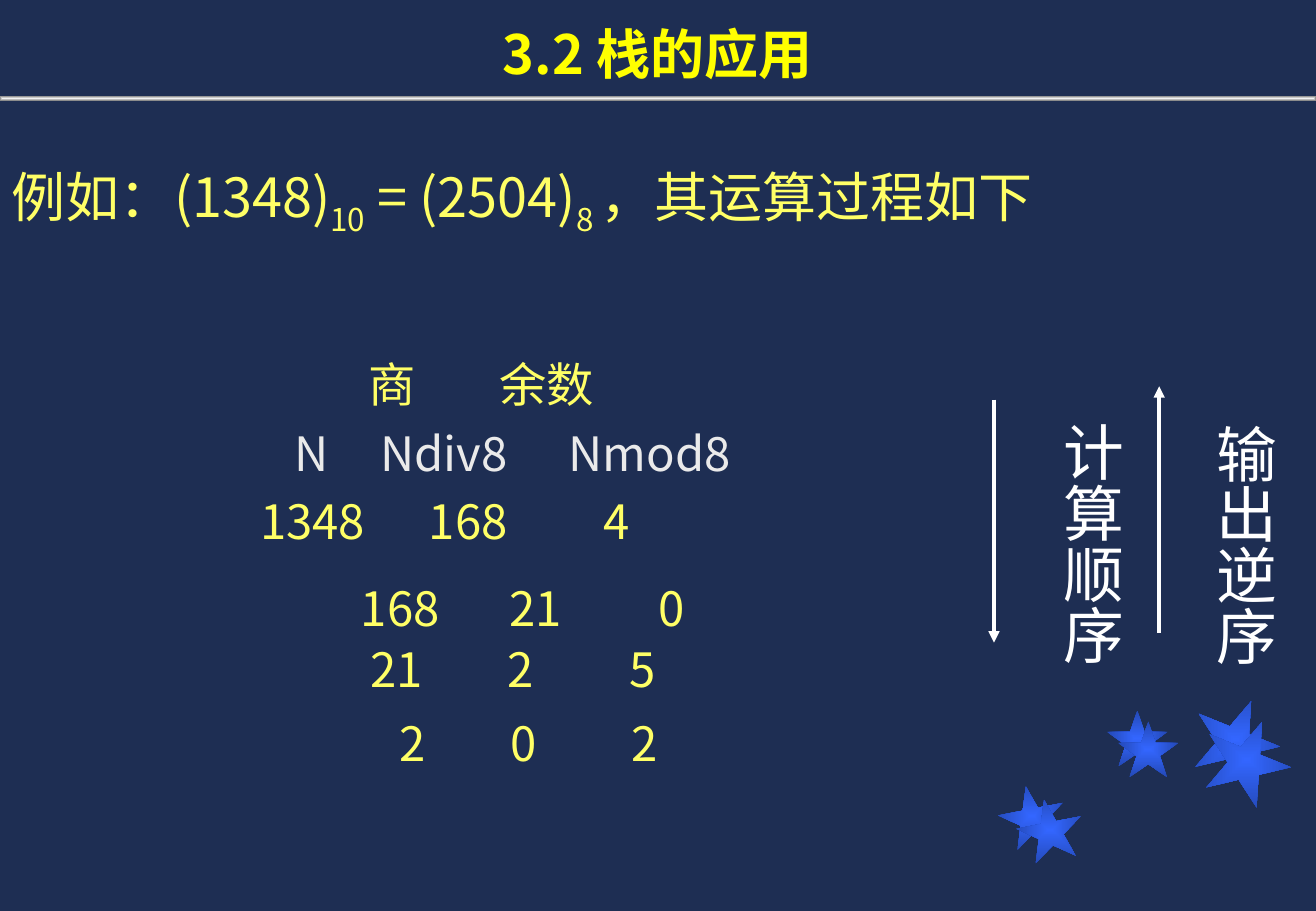
from dataclasses import dataclass

from pptx import Presentation
from pptx import util as u
from pptx.dml.color import RGBColor
from pptx.enum import shapes, text
from pptx.oxml import parse_xml
from pptx.oxml.ns import qn
from pptx.oxml.xmlchemy import OxmlElement

PX = 9144  # EMU in one px, 100 px to the inch
FONT = "Noto Sans CJK SC"
WHITE, YELLOW, GREY = "FFFFFF", "FFFF66", "EAEAEA"
CENTRE_PATH = (
    '<a:path xmlns:a="http://schemas.openxmlformats.org/drawingml/2006/main" path="shape">'
    '<a:fillToRect l="50000" t="50000" r="50000" b="50000"/></a:path>'
)


@dataclass(frozen=True)
class Box:
    left: int
    top: int
    width: int
    height: int

    def emu(self) -> list[u.Emu]:
        return [px(n) for n in (self.left, self.top, self.width, self.height)]


@dataclass(frozen=True)
class Star:
    box: Box
    rotation: int = 0


@dataclass(frozen=True)
class Row:
    """One line of the division: each cell starts at its own tab stop."""
    cells: tuple[str, ...]
    starts: tuple[int, ...]
    colour: str = YELLOW
    spacing: float = 1.0


@dataclass(frozen=True)
class Order:
    """An arrow with its vertical label."""
    label: str
    box: Box
    x: int
    start: int
    end: int


STARS = [
    Star(Box(822, 647, 54, 50), 349),
    Star(Box(911, 585, 50, 46)),
    Star(Box(981, 575, 72, 67), 22),
    Star(Box(837, 658, 54, 50), 349),
    Star(Box(920, 594, 50, 46)),
    Star(Box(990, 592, 72, 67), 22),
]
ORDERS = [
    Order("计算顺序", Box(852, 338, 81, 257), 818, 329, 529),
    Order("输出逆序", Box(978, 339, 81, 257), 954, 521, 318),
]
FORMULA = [("例如：(1348)", 0), ("10", -25000), (" = (2504)", 0), ("8 ", -25000),
           ("，其运算过程如下", 0)]
DIVISION = [
    (Box(155, 288, 724, 227), [
        Row(("商", "余数"), (303, 411)),
        Row(("N", "Ndiv8", "Nmod8"), (242, 313, 468), GREY, 1.2),
        Row(("1348", "168", "4"), (214, 353, 497), spacing=1.2),
    ]),
    (Box(287, 463, 665, 123), [Row(("168", "21", "0"), (297, 419, 542), spacing=1.2)]),
    (Box(288, 522, 542, 104), [Row(("21", "2", "5"), (305, 418, 518))]),
    (Box(312, 583, 433, 57), [Row(("2", "0", "2"), (329, 420, 520))]),
]


def px(n: int) -> u.Emu:
    return u.Emu(n * PX)


def rgb(colour: str) -> RGBColor:
    return RGBColor.from_string(colour)


def set_all(target, values: dict) -> None:
    for name, value in values.items():
        setattr(target, name, value)


def add_run(p, words: str, size: int, colour: str, bold: bool = False, baseline: int = 0) -> None:
    r = p.add_run()
    r.text = words
    set_all(r.font, {"size": u.Pt(size), "name": FONT, "bold": bold})
    r.font.color.rgb = rgb(colour)
    props = r.font._element
    east_asian = OxmlElement("a:ea")
    east_asian.set("typeface", FONT)
    props.find(qn("a:latin")).addnext(east_asian)
    if baseline:
        props.set("baseline", str(baseline))


def add_text_box(slide, box: Box):
    tf = slide.shapes.add_textbox(*box.emu()).text_frame
    tf.word_wrap = True
    return tf


def add_glow(slide, kind: shapes.MSO_SHAPE, box: Box, inner: str, outer: str, rotation: int = 0) -> None:
    """Add a preset shape shaded from its centre outwards."""
    sp = slide.shapes.add_shape(kind, *box.emu())
    sp.rotation = rotation
    sp.shadow.inherit = False
    sp.line.fill.background()
    sp.fill.gradient()
    for stop, position, colour in zip(sp.fill.gradient_stops, (0, 1), (inner, outer)):
        stop.position = position
        stop.color.rgb = rgb(colour)
    grad = sp._element.spPr.find(qn("a:gradFill"))
    grad.replace(grad.find(qn("a:lin")), parse_xml(CENTRE_PATH))


def add_order(slide, order: Order) -> None:
    x = px(order.x)
    arrow = slide.shapes.add_connector(
        shapes.MSO_CONNECTOR.STRAIGHT, x, px(order.start), x, px(order.end))
    arrow.line.color.rgb = rgb(WHITE)
    arrow.line.width = u.Pt(2.25)
    tail = OxmlElement("a:tailEnd")
    tail.set("type", "triangle")
    arrow.line._get_or_add_ln().append(tail)
    arrow._element.spPr.append(OxmlElement("a:effectLst"))

    tf = add_text_box(slide, order.box)
    tf._txBody.bodyPr.set("vert", "eaVert")
    add_run(tf.paragraphs[0], order.label, 36, WHITE)


def add_division(slide, box: Box, rows: list[Row]) -> None:
    tf = add_text_box(slide, box)
    tf.margin_left = 0
    for i, row in enumerate(rows):
        p = tf.add_paragraph() if i else tf.paragraphs[0]
        tabs = OxmlElement("a:tabLst")
        for start in row.starts:
            tab = OxmlElement("a:tab")
            tab.set("pos", str(px(start - box.left)))
            tab.set("algn", "l")
            tabs.append(tab)
        p._p.get_or_add_pPr().append(tabs)
        p.line_spacing = row.spacing
        add_run(p, "".join(f"\t{cell}" for cell in row.cells), 28, row.colour)


def add_title(slide) -> None:
    sp = slide.shapes.title
    set_all(sp, dict(zip(("left", "top", "width", "height"), Box(0, 0, 1083, 75).emu())))
    tf = sp.text_frame
    set_all(tf, {"vertical_anchor": text.MSO_ANCHOR.BOTTOM, "word_wrap": True,
                 "auto_size": text.MSO_AUTO_SIZE.NONE})
    p = tf.paragraphs[0]
    p.alignment = text.PP_ALIGN.CENTER
    add_run(p, "3.2 栈的应用", 32, "FFFF00", bold=True)


def main() -> None:
    prs = Presentation()
    set_all(prs, {"slide_width": px(1083), "slide_height": px(750)})
    slide = prs.slides.add_slide(prs.slide_layouts[5])
    slide.background.fill.solid()
    slide.background.fill.fore_color.rgb = rgb("1E2E53")

    for star in STARS:
        add_glow(slide, shapes.MSO_SHAPE.STAR_5_POINT, star.box, "3366FF", "2449B6", star.rotation)
    add_glow(slide, shapes.MSO_SHAPE.RECTANGLE, Box(0, 79, 1083, 4), "F2F2F2", "808080")
    add_title(slide)

    formula = add_text_box(slide, Box(0, 130, 1083, 172)).paragraphs[0]
    for words, baseline in FORMULA:
        add_run(formula, words, 32, YELLOW, baseline=baseline)
    for order in ORDERS:
        add_order(slide, order)
    for box, rows in DIVISION:
        add_division(slide, box, rows)
    prs.save("out.pptx")


if __name__ == "__main__":
    main()
